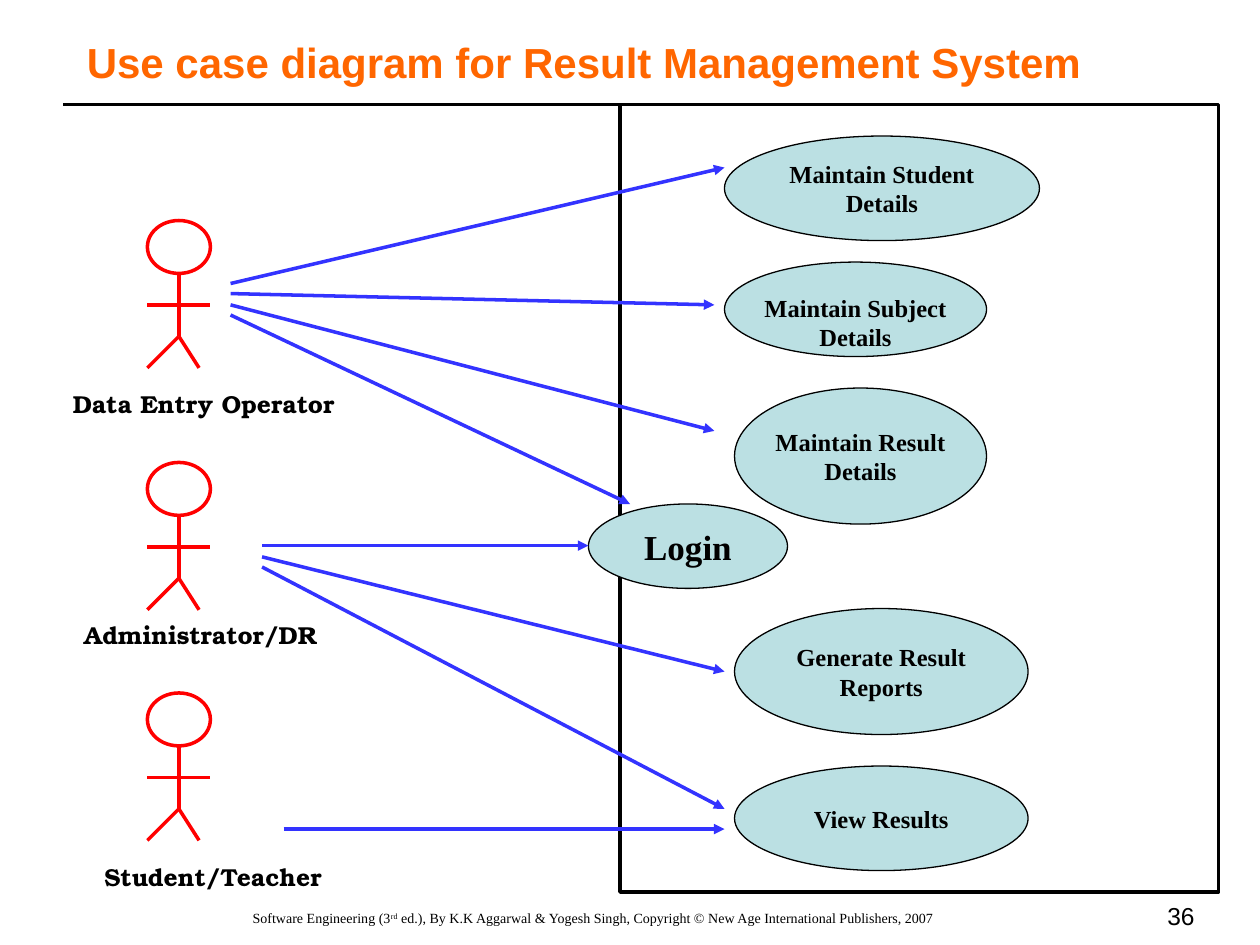
from dataclasses import dataclass

from lxml.etree import SubElement
from pptx import Presentation
from pptx.dml.color import RGBColor
from pptx.enum.shapes import MSO_CONNECTOR as Connector, MSO_SHAPE as Shape
from pptx.enum.text import MSO_ANCHOR as Anchor, MSO_AUTO_SIZE as AutoSize, PP_ALIGN as Align
from pptx.oxml.ns import qn
from pptx.util import Inches, Pt

COLORS = {
    "title": "FF6600",
    "actor": "FF0000",
    "arrow": "3333FF",
    "use_case": "BBE0E3",
    "black": "000000",
    "white": "FFFFFF",
}
SERIF, SANS, LABEL = "Times New Roman", "Arial", "TeX Gyre Bonum"
ACTOR_LEFT = 1.17
Point = tuple[float, float]
Box = tuple[float, float, float, float]


@dataclass
class Actor:
    name: str
    top: float
    label: Box
    arrow_starts: list[Point]
    arrow_ends: list[Point]


@dataclass
class UseCase:
    lines: list[str]
    box: Box
    size: int = 14
    top_inset: float = 0.05


ACTORS = [
    Actor("Data Entry Operator", 1.75, (0.48, 3.04, 2.35, 0.34),
          [(1.83, 2.25), (1.83, 2.33), (1.83, 2.42), (1.83, 2.5)],
          [(5.75, 1.33), (5.67, 2.42), (5.67, 3.42), (5, 4)]),
    Actor("Administrator/DR", 3.67, (0.57, 4.87, 2.18, 0.34),
          [(2.08, 4.33), (2.08, 4.42), (2.08, 4.5)],
          [(4.67, 4.33), (5.75, 5.33), (5.75, 6.42)]),
    Actor("Student/Teacher", 5.5, (0.73, 6.79, 2.6, 0.34),
          [(2.25, 6.58)], [(5.75, 6.58)]),
]
USE_CASES = [
    UseCase(["Maintain Student", "Details"], (5.75, 1.08, 2.5, 0.83)),
    UseCase(["Maintain Subject", "Details"], (5.75, 2.08, 2.08, 0.75), top_inset=0.25),
    UseCase(["Maintain Result", "Details"], (5.83, 3.08, 2, 1.08)),
    UseCase(["Login"], (4.67, 4, 1.58, 0.67), size=20),
    UseCase(["Generate Result", "Reports"], (5.83, 4.83, 2.33, 1)),
    UseCase(["View Results"], (5.83, 6.08, 2.33, 0.83)),
]


def color(name: str) -> RGBColor:
    return RGBColor.from_string(COLORS[name])


def style_paragraph(paragraph, font_name: str, size: int, bold: bool = False,
                    align=Align.LEFT, color_name: str = "black") -> None:
    paragraph.alignment = align
    font = paragraph.font
    font.name, font.size, font.bold = font_name, Pt(size), bold
    font.color.rgb = color(color_name)


def add_text(slide, box: Box, text: str, font_name: str, size: int, wrap: bool = True, **style):
    frame = slide.shapes.add_textbox(*map(Inches, box)).text_frame
    frame.word_wrap = wrap
    frame.auto_size = AutoSize.NONE
    paragraph = frame.paragraphs[0]
    paragraph.text = text
    style_paragraph(paragraph, font_name, size, **style)
    return paragraph


def add_outline(shapes, kind, box: Box, fill: str, line: str, width: float):
    shape = shapes.add_shape(kind, *map(Inches, box))
    shape.shadow.inherit = False
    shape.fill.solid()
    shape.fill.fore_color.rgb = color(fill)
    shape.line.color.rgb = color(line)
    shape.line.width = Pt(width)
    return shape


def add_line(shapes, start: Point, end: Point, color_name: str, arrow: bool = False) -> None:
    line = shapes.add_connector(Connector.STRAIGHT, *map(Inches, (*start, *end)))
    line.line.color.rgb = color(color_name)
    line.line.width = Pt(2)
    if arrow:
        SubElement(line.line._get_or_add_ln(), qn("a:tailEnd"), type="triangle")
    SubElement(line._element.spPr, qn("a:effectLst"))


def add_stick_figure(slide, top: float) -> None:
    shapes = slide.shapes.add_group_shape().shapes
    left, right, middle = ACTOR_LEFT, ACTOR_LEFT + 0.5, ACTOR_LEFT + 0.25
    neck, arms, hip, feet = (top + drop for drop in (0.42, 0.67, 0.92, 1.17))
    add_outline(shapes, Shape.OVAL, (left, top, 0.5, 0.42), "white", "actor", 2)
    for start, end in [
        ((middle, neck), (middle, hip)),
        ((middle, hip), (left, feet)),
        ((middle, hip), (left + 0.41, feet)),
        ((left, arms), (right, arms)),
    ]:
        add_line(shapes, start, end, "actor")


def add_use_case(slide, use_case: UseCase) -> None:
    oval = add_outline(slide.shapes, Shape.OVAL, use_case.box, "use_case", "black", 0.75)
    frame = oval.text_frame
    frame.word_wrap = False
    frame.vertical_anchor = Anchor.MIDDLE
    frame.margin_top = Inches(use_case.top_inset)
    frame.text = "\n".join(use_case.lines)
    for paragraph in frame.paragraphs:
        style_paragraph(paragraph, SERIF, use_case.size, bold=True, align=Align.CENTER)


def add_footer(slide) -> None:
    paragraph = add_text(slide, (0.25, 7.17, 8.92, 0.33), "Software Engineering (3",
                         SERIF, 8, align=Align.CENTER)
    ordinal = paragraph.add_run()
    ordinal.text = "rd"
    ordinal.font._element.set("baseline", "30000")
    paragraph.add_run().text = (" ed.), By K.K Aggarwal & Yogesh Singh, "
                                "Copyright © New Age International Publishers, 2007")
    add_text(slide, (7.25, 7.1, 2.33, 0.33), "36", SANS, 14, align=Align.RIGHT)


def main() -> None:
    presentation = Presentation()
    presentation.slide_width, presentation.slide_height = Inches(10), Inches(7.5)
    slide = presentation.slides.add_slide(presentation.slide_layouts[6])

    add_text(slide, (0.59, 0.24, 8.09, 0.5), "Use case diagram for Result Management System",
             SANS, 24, wrap=False, bold=True, color_name="title")
    add_line(slide.shapes, (0.5, 0.83), (9.17, 0.83), "black")
    add_outline(slide.shapes, Shape.RECTANGLE, (4.92, 0.83, 4.75, 6.25), "white", "black", 2)
    for use_case in USE_CASES:
        add_use_case(slide, use_case)
    for actor in ACTORS:
        add_stick_figure(slide, actor.top)
        add_text(slide, actor.label, actor.name, LABEL, 14, bold=True)
        for start, end in zip(actor.arrow_starts, actor.arrow_ends):
            add_line(slide.shapes, start, end, "arrow", arrow=True)
    add_footer(slide)
    presentation.save("out.pptx")


if __name__ == "__main__":
    main()
